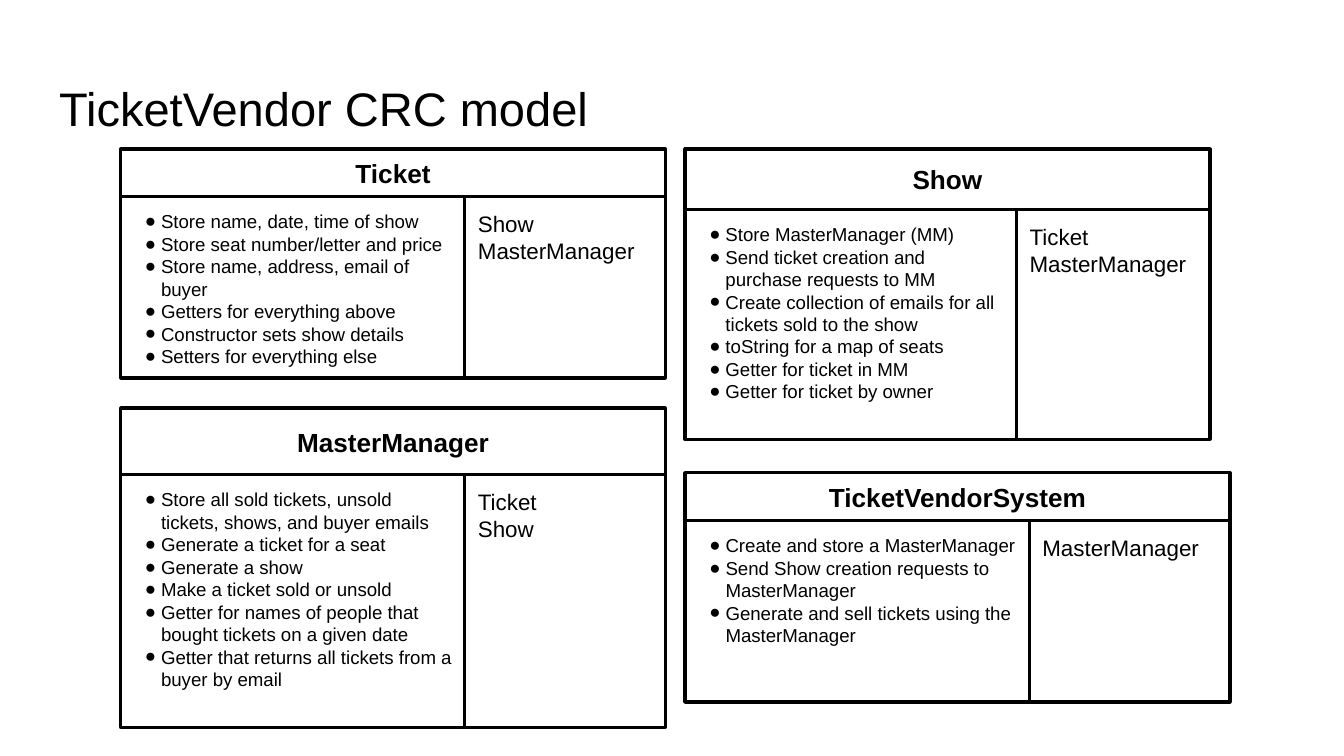
"""Build a slide of class-responsibility-collaborator cards."""
from pptx import Presentation, util as u
from pptx.dml.color import RGBColor
from pptx.enum import shapes, text
from pptx.oxml import ns, parse_xml

BLACK = RGBColor(0, 0, 0)
WHITE = RGBColor(255, 255, 255)
FONT = "Arial"
HEADER_SHARE = 5 / 24
DUTIES_SHARE = 12 / 19

CARDS = [
    (0.9, 1.11, 4.05, 1.7, "Ticket",
     ["Store name, date, time of show",
      "Store seat number/letter and price",
      "Store name, address, email of buyer",
      "Getters for everything above",
      "Constructor sets show details",
      "Setters for everything else"],
     ["Show", "MasterManager"]),
    (5.1, 1.11, 3.9, 2.16, "Show",
     ["Store MasterManager (MM)",
      "Send ticket creation and purchase requests to MM",
      "Create collection of emails for all tickets sold to the show",
      "toString for a map of seats",
      "Getter for ticket in MM",
      "Getter for ticket by owner"],
     ["Ticket", "MasterManager"]),
    (0.9, 3.04, 4.05, 2.37, "MasterManager",
     ["Store all sold tickets, unsold tickets, shows, and buyer emails",
      "Generate a ticket for a seat",
      "Generate a show",
      "Make a ticket sold or unsold",
      "Getter for names of people that bought tickets on a given date",
      "Getter that returns all tickets from a buyer by email"],
     ["Ticket", "Show"]),
    (5.1, 3.52, 4.05, 1.7, "TicketVendorSystem",
     ["Create and store a MasterManager",
      "Send Show creation requests to MasterManager",
      "Generate and sell tickets using the MasterManager"],
     ["MasterManager"]),
]


def write(box, lines, size, bold=False, align=text.PP_ALIGN.LEFT,
          anchor=text.MSO_ANCHOR.TOP):
    """Fill a box with one formatted paragraph per line."""
    frame = box.text_frame
    frame.text = "\n".join(lines)
    frame.word_wrap = True
    frame.auto_size = text.MSO_AUTO_SIZE.NONE
    frame.vertical_anchor = anchor
    frame.margin_left = frame.margin_right = u.Inches(0.1)
    frame.margin_top = frame.margin_bottom = u.Inches(0.1)
    for para in frame.paragraphs:
        para.alignment = align
        for span in para.runs:
            span.font.name = FONT
            span.font.size = u.Pt(size)
            span.font.bold = bold
            span.font.color.rgb = BLACK


def add_bullets(box):
    """Give every paragraph of a box a round hanging bullet."""
    space = ns.nsdecls("a")
    for para in box.text_frame.paragraphs:
        properties = para._p.get_or_add_pPr()
        properties.set("marL", str(u.Inches(0.2)))
        properties.set("indent", str(u.Inches(-0.12)))
        for element in (f'<a:buClr {space}><a:srgbClr val="{BLACK}"/></a:buClr>',
                        f'<a:buFont {space} typeface="{FONT}"/>',
                        f'<a:buChar {space} char="●"/>'):
            properties.append(parse_xml(element))


def add_panel(group, left, top, width, height, line_width=1.5):
    """Add a white rectangle with a black outline."""
    box = group.shapes.add_shape(
        shapes.MSO_SHAPE.RECTANGLE, u.Inches(left), u.Inches(top),
        u.Inches(width), u.Inches(height))
    box.shadow.inherit = False
    box.fill.solid()
    box.fill.fore_color.rgb = WHITE
    box.line.color.rgb = BLACK
    box.line.width = u.Pt(line_width)
    return box


def add_card(page, left, top, width, height, name, duties, partners):
    """Add a grouped card with a header and two columns."""
    group = page.shapes.add_group_shape()
    header = height * HEADER_SHARE
    column = width * DUTIES_SHARE
    body_top, body_height = top + header, height - header
    add_panel(group, left, top, width, height, 2.25)
    name_box = add_panel(group, left, top, width, header)
    write(name_box, [name], 14, True, text.PP_ALIGN.CENTER,
          text.MSO_ANCHOR.MIDDLE)
    duty_box = add_panel(group, left, body_top, column, body_height)
    write(duty_box, duties, 10)
    add_bullets(duty_box)
    partner_box = add_panel(group, left + column, body_top, width - column,
                            body_height)
    write(partner_box, partners, 12)


def add_title(page, wording):
    """Place and format the slide title."""
    title = page.shapes.title
    title.left, title.top = u.Inches(0.34), u.Inches(0.49)
    title.width, title.height = u.Inches(9.32), u.Inches(0.63)
    write(title, [wording], 25.2)


def main():
    """Create the deck and save it."""
    deck = Presentation()
    deck.slide_width = u.Inches(10)
    deck.slide_height = u.Inches(10 * 9 / 16)
    page = deck.slides.add_slide(deck.slide_layouts[5])
    add_title(page, "TicketVendor CRC model")
    for card in CARDS:
        add_card(page, *card)
    deck.save("out.pptx")


if __name__ == "__main__":
    main()
